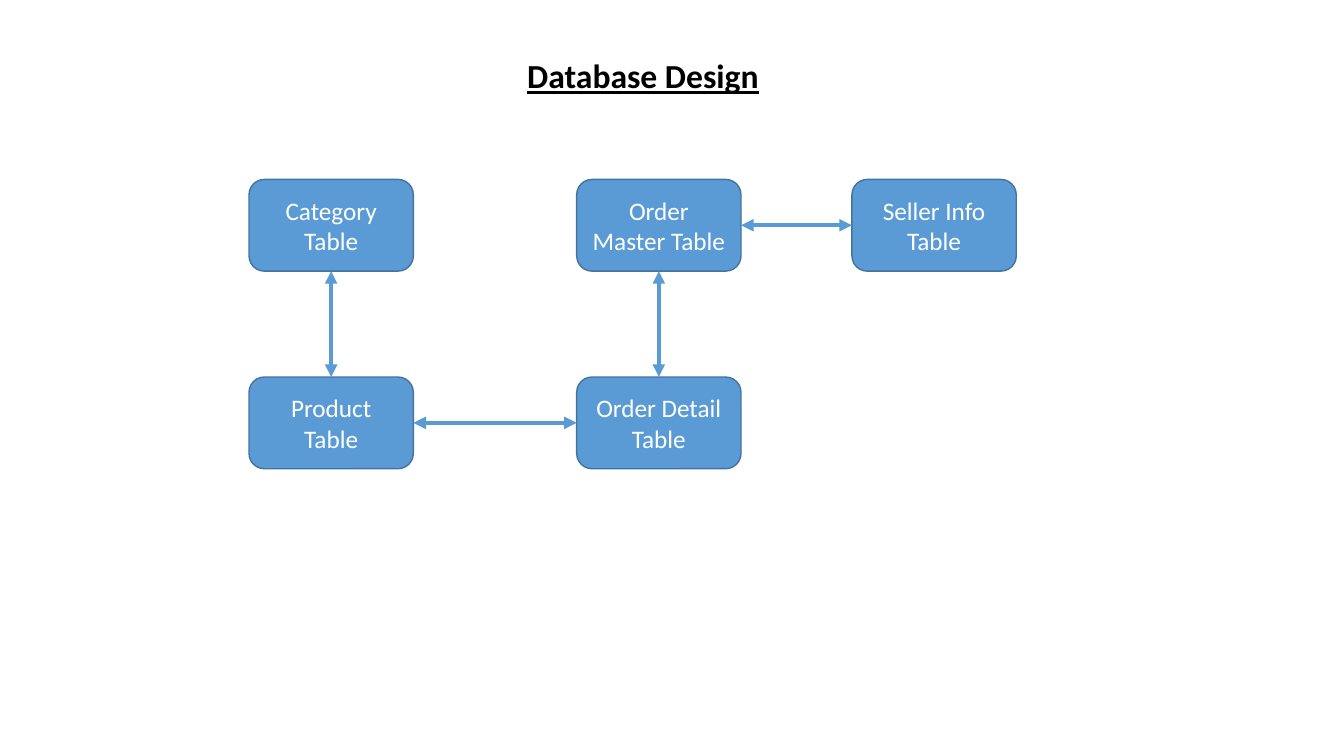
from dataclasses import dataclass

from lxml.etree import SubElement
from pptx import Presentation
from pptx.dml.color import RGBColor
from pptx.enum.shapes import MSO_CONNECTOR as Connector, MSO_SHAPE as Shape
from pptx.enum.text import MSO_ANCHOR as Anchor, MSO_AUTO_SIZE as AutoSize, PP_ALIGN as Align
from pptx.oxml.ns import qn
from pptx.util import Inches, Pt


@dataclass(frozen=True)
class Theme:
    font: str = "Calibri"
    title_color: RGBColor = RGBColor(0x00, 0x00, 0x00)
    table_fill: RGBColor = RGBColor(0x5B, 0x9B, 0xD5)
    table_border: RGBColor = RGBColor(0x43, 0x73, 0x9E)
    table_text: RGBColor = RGBColor(0xFF, 0xFF, 0xFF)
    title_size: Pt = Pt(24)
    table_size: Pt = Pt(18)
    border_width: Pt = Pt(1)
    arrow_width: Pt = Pt(3)


THEME = Theme()
TOP, LEFT, BOTTOM, RIGHT = range(4)

TABLE_WIDTH, TABLE_HEIGHT = 1.63, 0.91
COLUMNS = (0, 3.25, 5.98)
ROWS = (0, 1.96)

# Table name: (column, row)
TABLES = {
    "Product Table": (0, 1),
    "Order Detail Table": (1, 1),
    "Order Master Table": (1, 0),
    "Category Table": (0, 0),
    "Seller Info Table": (2, 0),
}
RELATIONS = (
    ("Seller Info Table", LEFT, "Order Master Table", RIGHT),
    ("Order Detail Table", LEFT, "Product Table", RIGHT),
    ("Product Table", TOP, "Category Table", BOTTOM),
    ("Order Detail Table", TOP, "Order Master Table", BOTTOM),
)


def add_run(paragraph, text, size, color):
    run = paragraph.add_run()
    run.text = text
    run.font.name = THEME.font
    run.font.size = size
    run.font.color.rgb = color
    return run


def add_title(slide, left, top, width, height):
    title = slide.shapes.add_textbox(Inches(left), Inches(top), Inches(width), Inches(height))
    frame = title.text_frame
    frame.word_wrap = False
    frame.auto_size = AutoSize.SHAPE_TO_FIT_TEXT
    run = add_run(frame.paragraphs[0], "Database Design", THEME.title_size, THEME.title_color)
    run.font.bold = True
    run.font.underline = True


def add_table_box(slide, name, left, top):
    box = slide.shapes.add_shape(Shape.ROUNDED_RECTANGLE, Inches(left), Inches(top),
                                 Inches(TABLE_WIDTH), Inches(TABLE_HEIGHT))
    box.shadow.inherit = False
    box.fill.solid()
    box.fill.fore_color.rgb = THEME.table_fill
    box.line.color.rgb = THEME.table_border
    box.line.width = THEME.border_width
    frame = box.text_frame
    frame.word_wrap = True
    frame.vertical_anchor = Anchor.MIDDLE
    paragraph = frame.paragraphs[0]
    paragraph.alignment = Align.CENTER
    add_run(paragraph, name, THEME.table_size, THEME.table_text)
    return box


def add_relation(slide, source, source_side, target, target_side):
    """Join two table boxes with a double-headed arrow."""
    arrow = slide.shapes.add_connector(Connector.STRAIGHT, 0, 0, 0, 0)
    arrow.begin_connect(source, source_side)
    arrow.end_connect(target, target_side)
    arrow.line.color.rgb = THEME.table_fill
    arrow.line.width = THEME.arrow_width
    outline = arrow.line._get_or_add_ln()
    for end in ("a:headEnd", "a:tailEnd"):
        SubElement(outline, qn(end), type="triangle")
    SubElement(arrow._element.spPr, qn("a:effectLst"))


def add_diagram(slide, left, top):
    boxes = {
        name: add_table_box(slide, name, left + COLUMNS[column], top + ROWS[row])
        for name, (column, row) in TABLES.items()
    }
    for source, source_side, target, target_side in RELATIONS:
        add_relation(slide, boxes[source], source_side, boxes[target], target_side)


def main():
    deck = Presentation()
    deck.slide_width, deck.slide_height = Inches(13.33), Inches(7.5)
    slide = deck.slides.add_slide(deck.slide_layouts[6])
    add_title(slide, 5.13, 0.5, 2.53, 0.5)
    add_diagram(slide, 2.47, 1.78)
    deck.save("out.pptx")


if __name__ == "__main__":
    main()
